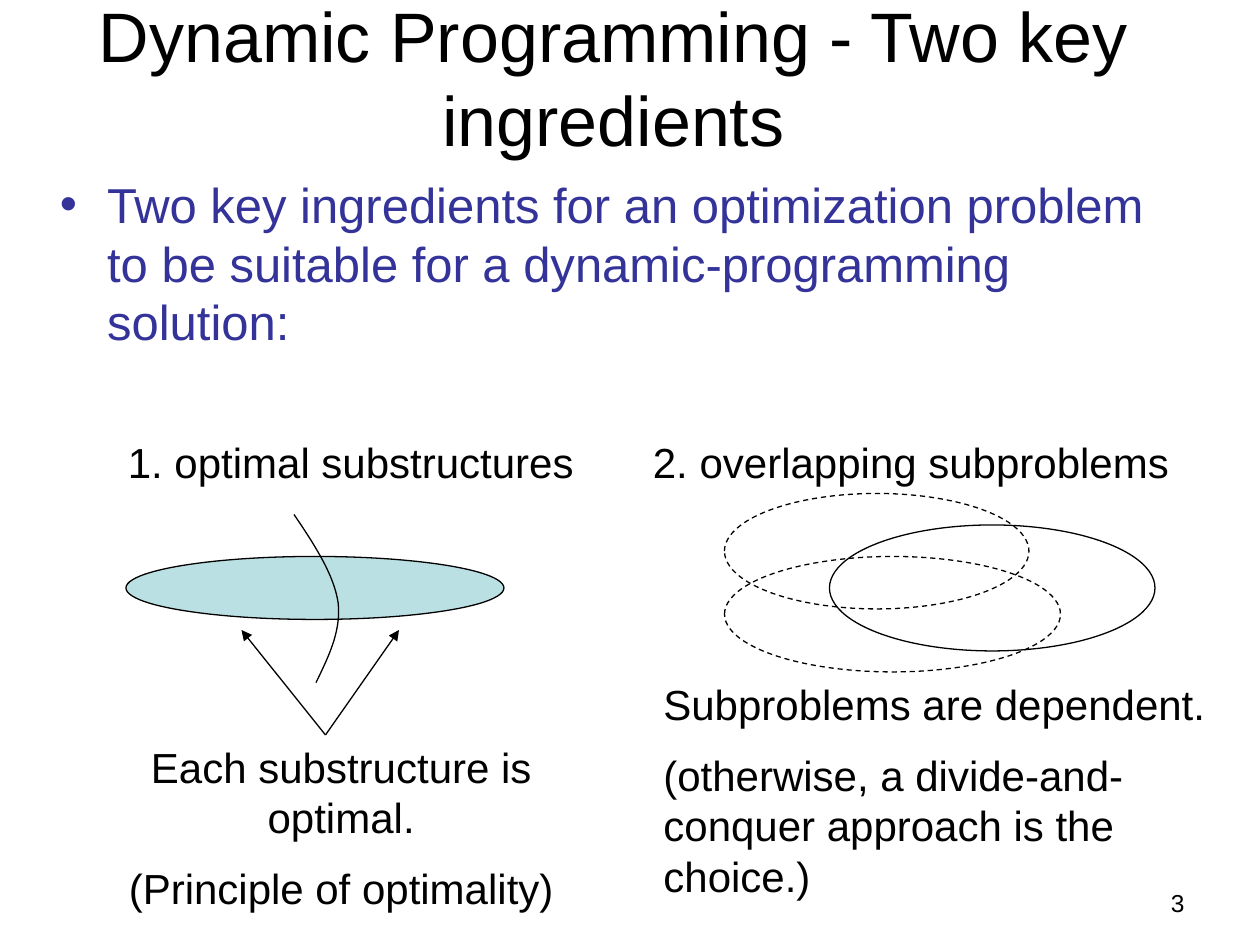
from lxml.etree import SubElement
from pptx import Presentation
from pptx.dml.color import RGBColor
from pptx.enum.dml import MSO_LINE
from pptx.enum.shapes import MSO_CONNECTOR, MSO_SHAPE
from pptx.enum.text import MSO_ANCHOR, MSO_AUTO_SIZE, PP_ALIGN
from pptx.oxml.ns import qn
from pptx.util import Pt

PX = 7620
BLACK = "000000"


def px(*vals):
    return [round(v * PX) for v in vals]


def color(code):
    return RGBColor.from_string(code)


def place(shape, box):
    shape.left, shape.top, shape.width, shape.height = px(*box)


def write(shape, lines, size, code=BLACK, align=PP_ALIGN.LEFT, gap=0):
    frame = shape.text_frame
    frame.word_wrap = True
    frame.auto_size = MSO_AUTO_SIZE.NONE
    frame.text = "\n".join(lines)
    for i, para in enumerate(frame.paragraphs):
        para.alignment = align
        para.space_before = Pt(gap if i else 0)
        para.font.size = Pt(size)
        para.font.name = "Arial"
        para.font.color.rgb = color(code)


def add_text(slide, box, lines, size=24, align=PP_ALIGN.LEFT):
    shape = slide.shapes.add_textbox(*px(*box))
    write(shape, lines, size, align=align, gap=12)


def add_bullet(para, indent):
    props = para._p.get_or_add_pPr()
    props.set("marL", str(indent * PX))
    props.set("indent", str(-indent * PX))
    SubElement(props, qn("a:buChar")).set("char", "•")


def stroke(shape):
    shape.line.color.rgb = color(BLACK)
    shape.line.width = Pt(0.75)


def add_oval(slide, box, fill=None, dash=False):
    oval = slide.shapes.add_shape(MSO_SHAPE.OVAL, *px(*box))
    oval.shadow.inherit = False
    stroke(oval)
    if fill:
        oval.fill.solid()
        oval.fill.fore_color.rgb = color(fill)
    else:
        oval.fill.background()
    if dash:
        oval.line.dash_style = MSO_LINE.DASH


def add_arrow(slide, start, end):
    arrow = slide.shapes.add_connector(
        MSO_CONNECTOR.STRAIGHT, *px(*start, *end))
    stroke(arrow)
    SubElement(arrow.line._get_or_add_ln(), qn("a:tailEnd")).set("type", "triangle")
    SubElement(arrow._element.spPr, qn("a:effectLst"))


def bezier(a, b, c, d, steps=24):
    for i in range(1, steps + 1):
        t = i / steps
        u = 1 - t
        yield px(*(u**3 * p + 3 * u * u * t * q + 3 * u * t * t * r + t**3 * s
                   for p, q, r, s in zip(a, b, c, d)))


def add_curve(slide, start, parts):
    path = slide.shapes.build_freeform(*px(*start))
    for one, two, end in parts:
        path.add_line_segments(bezier(start, one, two, end), close=False)
        start = end
    curve = path.convert_to_shape()
    curve.shadow.inherit = False
    curve.fill.background()
    stroke(curve)


def main():
    deck = Presentation()
    deck.slide_width, deck.slide_height = px(1200, 900)
    slide = deck.slides.add_slide(deck.slide_layouts[1])

    title = slide.shapes.title
    place(title, (44, 13, 1080, 119))
    write(title, ["Dynamic Programming - Two key ingredients"], 40,
          align=PP_ALIGN.CENTER)
    title.text_frame.vertical_anchor = MSO_ANCHOR.MIDDLE

    body = slide.placeholders[1]
    place(body, (45, 160, 1080, 666))
    add_bullet(body.text_frame.paragraphs[0], 45)
    write(body, ["Two key ingredients for an optimization problem to be "
                 "suitable for a dynamic-programming solution:"], 28, "333399")

    add_oval(slide, (120, 530, 360, 60), fill="BBE0E3")
    add_curve(slide, (280, 490), [
        ((299, 518), (318, 547), (322, 574)),
        ((325, 601), (313, 625), (301, 650))])
    for x in (230, 380):
        add_arrow(slide, (310, 700), (x, 600))

    add_oval(slide, (690, 470, 290, 110), dash=True)
    add_oval(slide, (790, 500, 310, 120))
    add_oval(slide, (690, 530, 320, 110), dash=True)

    add_text(slide, (110, 410, 490, 60), ["1. optimal substructures"])
    add_text(slide, (610, 410, 520, 60), ["2. overlapping subproblems"])
    add_text(slide, (80, 700, 490, 132),
             ["Each substructure is optimal.", "(Principle of optimality)"],
             align=PP_ALIGN.CENTER)
    add_text(slide, (620, 640, 580, 180),
             ["Subproblems are dependent.",
              "(otherwise, a divide-and-conquer approach is the choice.)"])
    add_text(slide, (860, 840, 280, 42), ["3"], 14, PP_ALIGN.RIGHT)
    deck.save("out.pptx")


if __name__ == "__main__":
    main()
